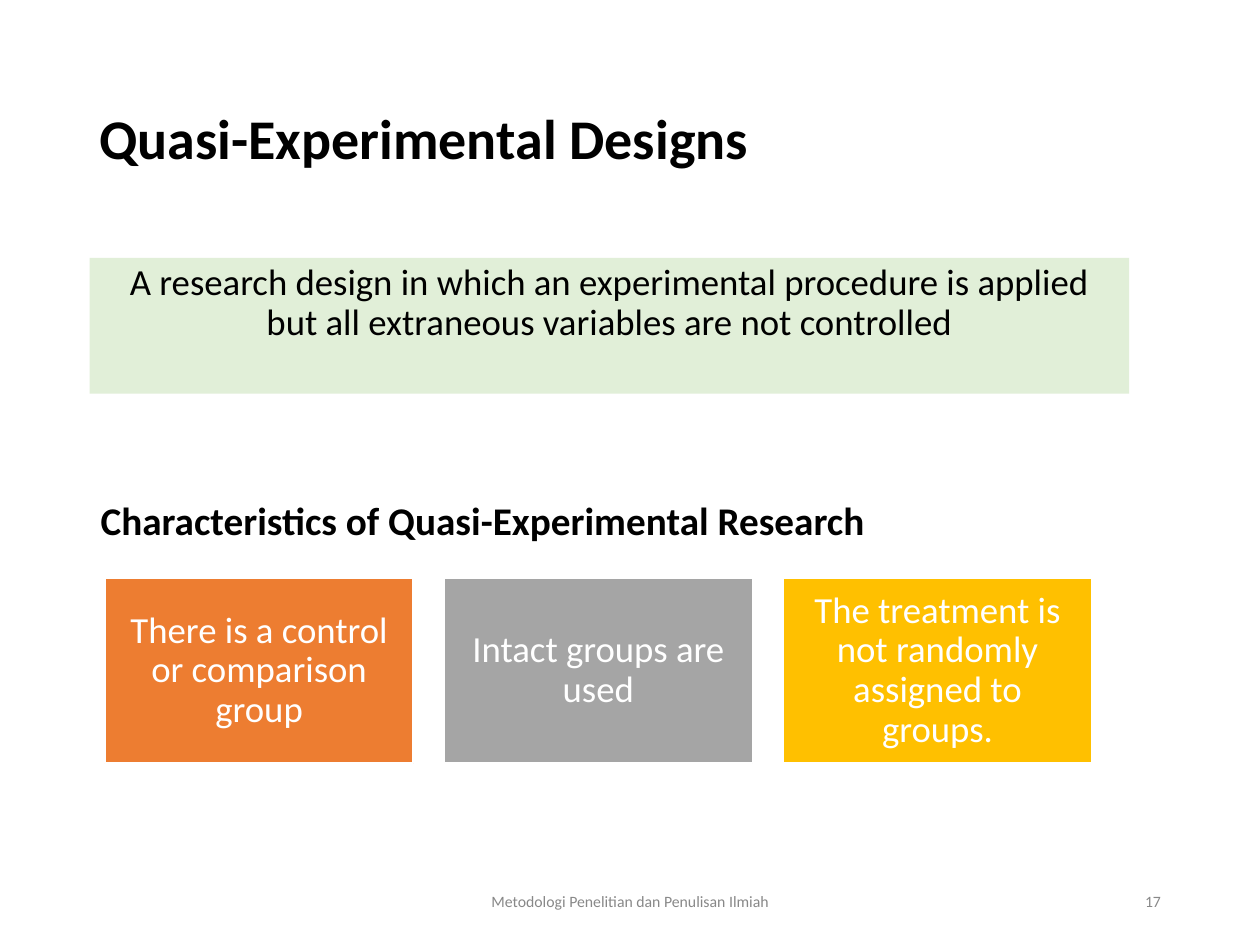
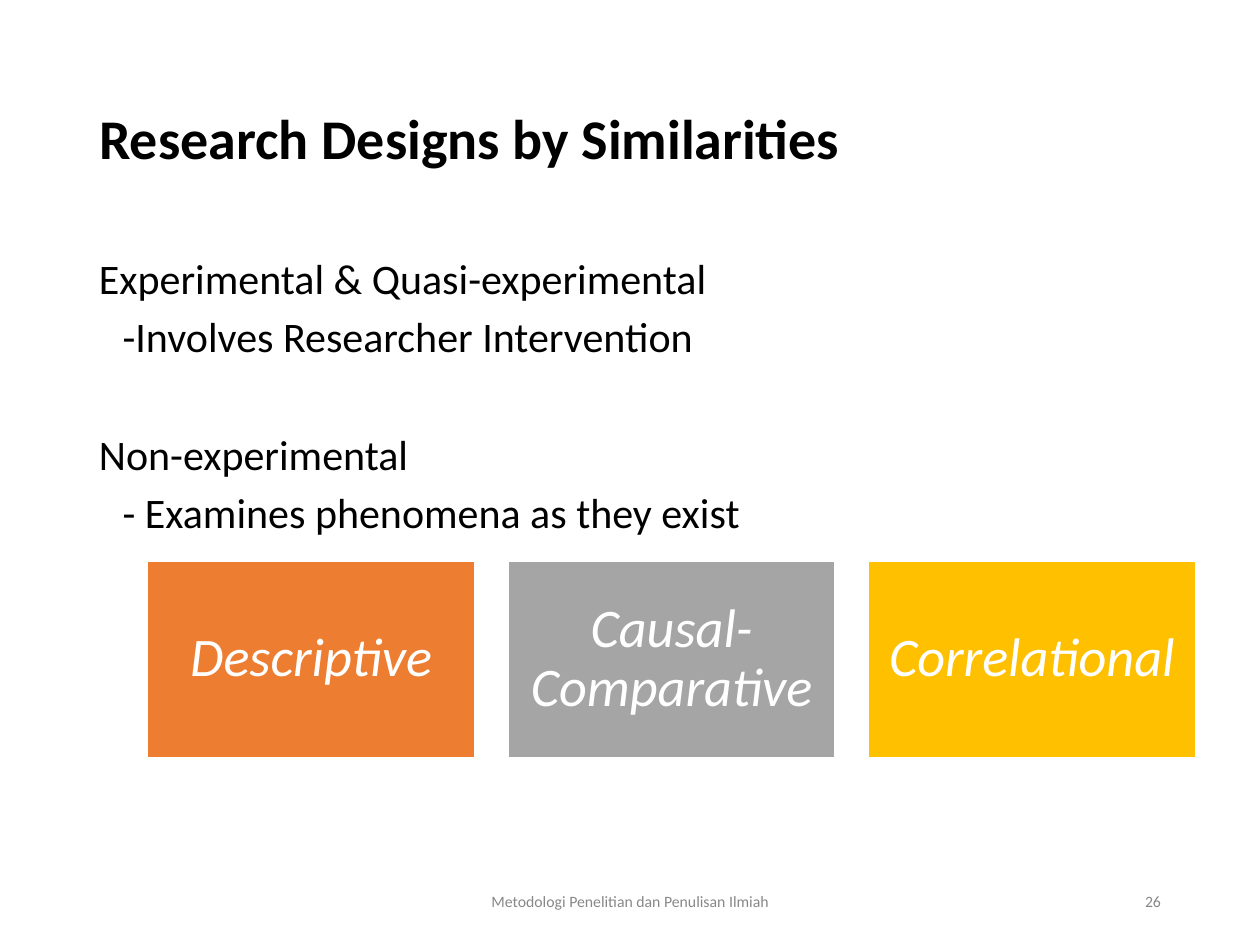
import pptx
import pptx.util
from dataclasses import dataclass
from pptx.dml.color import RGBColor
from pptx.enum.shapes import MSO_SHAPE
from pptx.enum.text import MSO_ANCHOR, MSO_AUTO_SIZE, PP_ALIGN

Pt = pptx.util.Pt


@dataclass(frozen=True)
class Theme:
    font: str = "Calibri"
    ink: str = "000000"
    white: str = "FFFFFF"
    muted: str = "888888"
    panel: str = "E1EFD8"
    cards: tuple = ("ED7D31", "A5A5A5", "FFC000")
    title_size: float = 32
    heading_size: float = 22.4
    body_size: float = 24
    panel_size: float = 21
    footer_size: float = 9
    line_spacing: float = 0.9
    paragraph_gap: float = 7.5
    topic_gap: float = 41
    footer: str = "Metodologi Penelitian dan Penulisan Ilmiah"


class Slides:
    """Holds the theme and the page being built."""

    def __init__(self, theme):
        self.theme = theme
        self.deck = pptx.Presentation()
        self.deck.slide_width, self.deck.slide_height = Pt(720), Pt(540)
        self.page = None

    def fill_text(self, box, lines, size, color=None, align=PP_ALIGN.LEFT,
                  anchor=MSO_ANCHOR.MIDDLE, spacing=None, bold=False,
                  italic=False, insets=(7.2, 3.6)):
        frame = box.text_frame
        frame.text = "\n".join(lines)
        frame.word_wrap = True
        frame.auto_size = MSO_AUTO_SIZE.NONE
        frame.vertical_anchor = anchor
        frame.margin_left = frame.margin_right = Pt(insets[0])
        frame.margin_top = frame.margin_bottom = Pt(insets[1])
        for para in frame.paragraphs:
            para.alignment = align
            para.line_spacing = spacing or self.theme.line_spacing
            for span in para.runs:
                font = span.font
                font.name, font.size = self.theme.font, Pt(size)
                font.bold, font.italic = bold, italic
                font.color.rgb = RGBColor.from_string(color or self.theme.ink)
        return frame

    def text(self, area, lines, size, **style):
        box = self.page.shapes.add_textbox(*map(Pt, area))
        return self.fill_text(box, lines, size, **style)

    def rectangle(self, area, fill, line=None):
        box = self.page.shapes.add_shape(MSO_SHAPE.RECTANGLE, *map(Pt, area))
        box.shadow.inherit = False
        box.fill.solid()
        box.fill.fore_color.rgb = RGBColor.from_string(fill)
        if line:
            box.line.color.rgb = RGBColor.from_string(line)
            box.line.width = Pt(1)
        else:
            box.line.fill.background()
        return box

    def start(self, title, number):
        """Add a page with its title, footer and page number."""
        theme = self.theme
        self.page = self.deck.slides.add_slide(self.deck.slide_layouts[5])
        box = self.page.shapes.title
        box.left, box.top, box.width, box.height = map(Pt, (49.5, 28.8, 621, 104.4))
        self.fill_text(box, [title], theme.title_size, bold=True)
        for left, width, words, align in (
                (238.5, 243, theme.footer, PP_ALIGN.CENTER),
                (508.5, 162, str(number), PP_ALIGN.RIGHT)):
            self.text((left, 500.5, width, 28.75), [words], theme.footer_size,
                      color=theme.muted, align=align, spacing=1.0)

    def heading(self, area, words):
        self.text(area, [words], self.theme.heading_size, bold=True, spacing=0.7)

    def panel(self, area, words):
        box = self.rectangle(area, self.theme.panel)
        self.fill_text(box, [words], self.theme.panel_size,
                       align=PP_ALIGN.CENTER, anchor=MSO_ANCHOR.TOP)

    def outline(self, area, topics):
        """Set topics, each followed by one indented point."""
        theme = self.theme
        lines = [line for topic in topics for line in topic]
        frame = self.text(area, lines, theme.body_size, anchor=MSO_ANCHOR.TOP)
        for index, para in enumerate(frame.paragraphs):
            is_point = index % 2 == 1
            if is_point:
                para._p.get_or_add_pPr().set("marL", str(Pt(13.5)))
            if index:
                para.space_before = Pt(theme.paragraph_gap if is_point
                                       else theme.topic_gap)

    def cards(self, left, top, width, labels, size, inset, italic=False):
        """Lay out a row of cards: height 60 % and gap 10 % of the width."""
        theme = self.theme
        for index, (label, fill) in enumerate(zip(labels, theme.cards)):
            area = (left + index * width * 1.1, top, width, width * 0.6)
            box = self.rectangle(area, fill, line=theme.white)
            self.fill_text(box, [label], size, color=theme.white, italic=italic,
                           align=PP_ALIGN.CENTER, insets=(inset, inset))


def main():
    slides = Slides(Theme())

    # Quasi-experimental designs
    slides.start("Quasi-Experimental Designs", 17)
    slides.panel((51.2, 147.4, 594, 77.6),
                 "A research design in which an experimental procedure is "
                 "applied but all extraneous variables are not controlled")
    slides.heading((50.4, 276.5, 496.8, 47.5),
                   "Characteristics of Quasi-Experimental Research")
    slides.cards(60, 330.5, 176.2,
                 ["There is a control or comparison group",
                  "Intact groups are used",
                  "The treatment is not randomly assigned to groups."],
                 size=21, inset=6.3)

    # Research designs by similarities
    slides.start("Research Designs by Similarities", 26)
    slides.outline((49.5, 144, 621, 342.7), [
        ("Experimental & Quasi-experimental", "-Involves Researcher Intervention"),
        ("Non-experimental", "- Examines phenomena as they exist")])
    slides.cards(84.2, 320.6, 187.2,
                 ["Descriptive", "Causal-Comparative", "Correlational"],
                 size=31, inset=9.3, italic=True)

    slides.deck.save("out.pptx")


if __name__ == "__main__":
    main()
